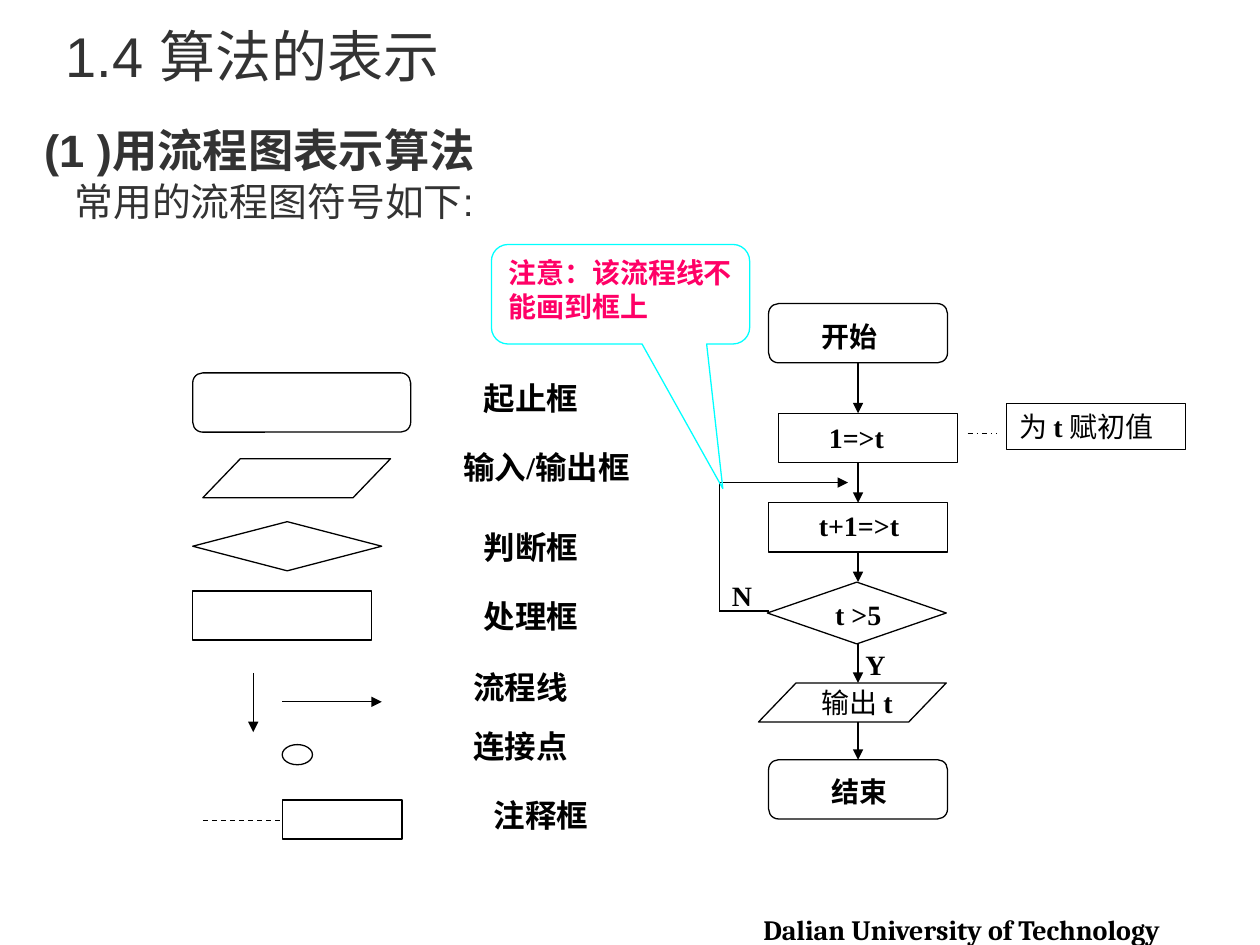
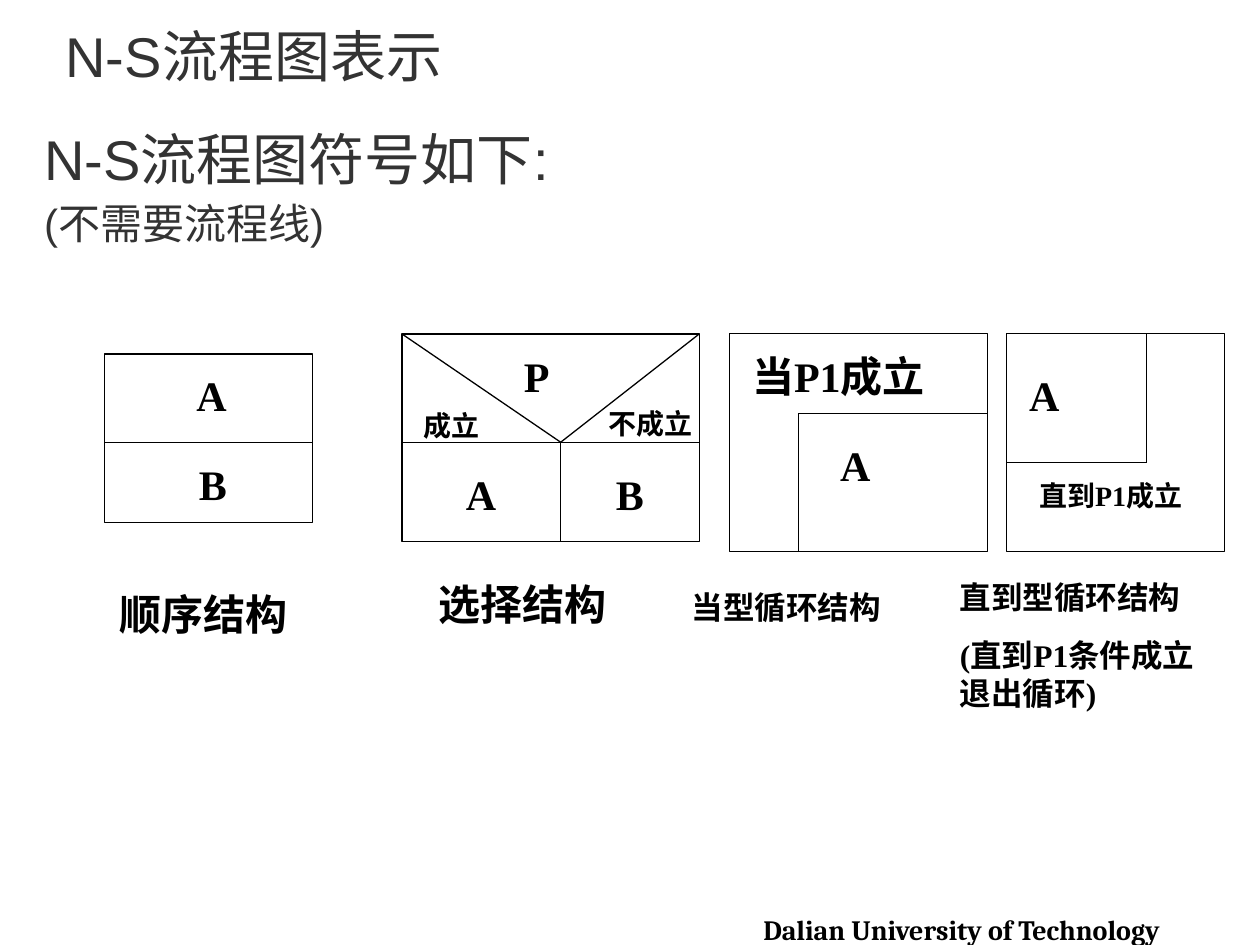
from dataclasses import dataclass
from typing import Any

from lxml.etree import SubElement
from pptx import Presentation
from pptx.dml.color import RGBColor
from pptx.enum.dml import MSO_LINE
from pptx.enum.shapes import MSO_CONNECTOR, MSO_SHAPE
from pptx.enum.text import MSO_ANCHOR, MSO_AUTO_SIZE, PP_ALIGN
from pptx.oxml.ns import qn
from pptx.util import Inches, Pt

BLACK = RGBColor(0x00, 0x00, 0x00)
CHARCOAL = RGBColor(0x33, 0x33, 0x33)
CYAN = RGBColor(0x00, 0xFF, 0xFF)
PINK = RGBColor(0xFF, 0x00, 0x66)
HEADING_FONT = "Arial"
LABEL_FONT = "Times New Roman"
FOOTER_FONT = "Cambria"
LINE_WIDTH = Pt(0.75)


def format_runs(paragraph, font, size, color, bold):
    for run in paragraph.runs:
        run.font.name = font
        run.font.size = Pt(size)
        run.font.color.rgb = color
        run.font.bold = bold


def write(frame, text, size, font=LABEL_FONT, color=BLACK, bold=True):
    frame.word_wrap = True
    frame.vertical_anchor = MSO_ANCHOR.TOP
    frame.text = text
    for index, paragraph in enumerate(frame.paragraphs):
        paragraph.alignment = PP_ALIGN.LEFT
        paragraph.space_before = Pt(size * 0.625 if index else 0)
        format_runs(paragraph, font, size, color, bold)


def write_variable(frame, before, variable, after=""):
    """Set plain text around a variable name in bold."""
    write(frame, before, 16, bold=False)
    paragraph = frame.paragraphs[0]
    for piece in filter(None, (variable, after)):
        paragraph.add_run().text = piece
    format_runs(paragraph, LABEL_FONT, 16, BLACK, False)
    paragraph.runs[1].font.bold = True


@dataclass
class Region:
    """Part of a slide whose contents are placed from its top left corner."""
    slide: Any
    left: float
    top: float

    def place(self, x, y):
        return Inches(self.left + x), Inches(self.top + y)

    def outline(self, kind, x, y, width, height, color=BLACK):
        shape = self.slide.shapes.add_shape(
            kind, *self.place(x, y), Inches(width), Inches(height))
        shape.shadow.inherit = False
        shape.fill.background()
        shape.line.color.rgb = color
        shape.line.width = LINE_WIDTH
        return shape

    def line(self, start, end, arrow=False, dash=None):
        connector = self.slide.shapes.add_connector(
            MSO_CONNECTOR.STRAIGHT, *self.place(*start), *self.place(*end))
        connector.line.color.rgb = BLACK
        connector.line.width = LINE_WIDTH
        if dash:
            connector.line.dash_style = dash
        properties = connector.line._get_or_add_ln()
        if arrow:
            SubElement(properties, qn("a:tailEnd"), type="triangle")
        SubElement(properties.getparent(), qn("a:effectLst"))

    def label(self, text, x, y, width, size=16, height=0.4):
        box = self.slide.shapes.add_textbox(
            *self.place(x, y), Inches(width), Inches(height))
        write(box.text_frame, text, size)
        return box.text_frame


def move(shape, left, top, width, height):
    shape.left, shape.top = Inches(left), Inches(top)
    shape.width, shape.height = Inches(width), Inches(height)


def add_footer(slide):
    box = slide.shapes.add_textbox(
        Inches(5.96), Inches(7.19), Inches(3.79), Inches(0.37))
    write(box.text_frame, "Dalian University of Technology", 16, FOOTER_FONT)
    box.text_frame.word_wrap = False


def add_slide(deck, title, title_width, lines, body_width, line_spacing):
    """Add a slide; lines holds (text, size, bold, indent) for the body."""
    slide = deck.slides.add_slide(deck.slide_layouts[1])
    add_footer(slide)
    heading, body = slide.placeholders
    move(heading, 0.42, 0.02, title_width, 0.84)
    write(heading.text_frame, title, 32, HEADING_FONT, CHARCOAL, False)
    heading.text_frame.vertical_anchor = MSO_ANCHOR.MIDDLE
    move(body, 0.25, 1, body_width, 1.1)
    body.text_frame.text = "\n".join(text for text, *_ in lines)
    for index, (_, size, bold, indent) in enumerate(lines):
        paragraph = body.text_frame.paragraphs[index]
        properties = paragraph._p.get_or_add_pPr()
        properties.set("marL", str(Inches(indent)))
        properties.set("indent", "0")
        SubElement(properties, qn("a:buNone"))
        paragraph.line_spacing = line_spacing
        paragraph.space_before = Pt(6 if index else 0)
        format_runs(paragraph, HEADING_FONT, size, CHARCOAL, bold)
    for placeholder in (heading, body):
        placeholder.text_frame.auto_size = MSO_AUTO_SIZE.NONE
    return slide


def draw_symbol_legend(region):
    for symbol in (
        (MSO_SHAPE.ROUNDED_RECTANGLE, 0, 0, 1.73, 0.47),
        (MSO_SHAPE.FLOWCHART_DATA, 0.08, 0.68, 1.49, 0.31),
        (MSO_SHAPE.FLOWCHART_DECISION, 0, 1.18, 1.5, 0.39),
        (MSO_SHAPE.FLOWCHART_PROCESS, 0, 1.73, 1.42, 0.39),
        (MSO_SHAPE.FLOWCHART_CONNECTOR, 0.71, 2.95, 0.24, 0.16),
        (MSO_SHAPE.RECTANGLE, 0.71, 3.39, 0.95, 0.31),
    ):
        region.outline(*symbol)
    region.line((0.48, 2.38), (0.48, 2.85), arrow=True)
    region.line((0.71, 2.61), (1.5, 2.61), arrow=True)
    region.line((0.08, 3.55), (0.71, 3.55), dash=MSO_LINE.DASH)
    for name, x, y in (
        ("起止框", 2.21, 0),
        ("输入/输出框", 2.05, 0.55),
        ("判断框", 2.21, 1.18),
        ("处理框", 2.21, 1.73),
        ("流程线", 2.13, 2.29),
        ("连接点", 2.13, 2.76),
        ("注释框", 2.29, 3.31),
    ):
        region.label(name, x, y, 1.73, 18)


def draw_flowchart(region):
    steps = (
        (MSO_SHAPE.ROUNDED_RECTANGLE, 0.39, 0, 1.42, 0.47),
        (MSO_SHAPE.FLOWCHART_PROCESS, 0.47, 0.87, 1.42, 0.39),
        (MSO_SHAPE.FLOWCHART_PROCESS, 0.39, 1.58, 1.42, 0.39),
        (MSO_SHAPE.FLOWCHART_DECISION, 0.38, 2.21, 1.42, 0.49),
        (MSO_SHAPE.FLOWCHART_DATA, 0.31, 3.01, 1.49, 0.31),
        (MSO_SHAPE.ROUNDED_RECTANGLE, 0.39, 3.62, 1.42, 0.47),
    )
    for step in steps:
        region.outline(*step)
    for (_, _, y, _, height), (_, _, next_y, _, _) in zip(steps, steps[1:]):
        region.line((1.1, y + height), (1.1, next_y), arrow=True)

    region.line((0.39, 2.44), (0, 2.44))
    region.line((0, 2.44), (0, 1.42))
    region.line((0, 1.42), (1.02, 1.42), arrow=True)
    for text, x, y in (
        ("开始", 0.71, 0.08),
        ("1=>t", 0.77, 0.88),
        ("t+1=>t", 0.69, 1.58),
        ("t >5", 0.82, 2.28),
        ("N", 0, 2.13),
        ("Y", 1.06, 2.68),
        ("结束", 0.79, 3.69),
    ):
        region.label(text, x, y, 1.02, height=0.37)
    write_variable(region.label("", 0.71, 2.98, 1.1), "输出 ", "t")

    region.line((1.97, 1.03), (2.2, 1.03), dash=MSO_LINE.DASH_DOT)
    comment = region.outline(MSO_SHAPE.RECTANGLE, 2.28, 0.79, 1.42, 0.37)
    write_variable(comment.text_frame, "为 ", "t ", "赋初值")


def draw_warning(region):
    callout = region.outline(
        MSO_SHAPE.ROUNDED_RECTANGULAR_CALLOUT, 0, 0, 2.05, 0.79, CYAN)
    for index, value in enumerate((0.396, 1.952, 0.167)):
        callout.adjustments[index] = value
    write(callout.text_frame, "注意：该流程线不能画到框上", 16, color=PINK)


def draw_sequence(region):
    region.outline(MSO_SHAPE.RECTANGLE, 0, 0, 1.65, 1.34)
    region.line((0, 0.7), (1.65, 0.7))
    region.label("A", 0.63, 0.07, 0.95, 24)
    region.label("B", 0.65, 0.78, 0.95, 24)
    region.label("顺序结构", 0.02, 1.81, 1.81, 24)


def draw_selection(region):
    width, height = 2.36, 1.65
    fork = (1.26, 0.86)
    region.outline(MSO_SHAPE.RECTANGLE, 0, 0, width, height)
    region.line((0, fork[1]), (width, fork[1]))
    for end in ((0, 0), (width, 0), (fork[0], height)):
        region.line(fork, end)
    region.label("P", 0.87, 0.08, 0.71, 24)
    region.label("不成立", 1.54, 0.53, 1.02)
    region.label("成立", 0.07, 0.54, 1.02)
    region.label("A", 0.41, 1.02, 0.63, 24)
    region.label("B", 1.6, 1.02, 0.55, 24)
    region.label("选择结构", 0.19, 1.89, 1.89, 24)


def draw_while_loop(region):
    width, height = 2.05, 1.73
    corner = (0.55, 0.63)
    region.outline(MSO_SHAPE.RECTANGLE, 0, 0, width, height)
    region.line(corner, (width, corner[1]))
    region.line(corner, (corner[0], height))
    region.label("当P1成立", 0.08, 0.08, 1.89, 24)
    region.label("A", 0.78, 0.79, 0.95, 24)
    region.label("当型循环结构", -0.4, 1.97, 2.28, 18)


def draw_until_loop(region):
    corner = (1.11, 1.02)
    region.outline(MSO_SHAPE.RECTANGLE, 0, 0, 1.73, 1.73)
    region.line((corner[0], 0), corner)
    region.line(corner, (0, corner[1]))
    region.label("A", 0.08, 0.23, 0.87, 24)
    region.label("直到P1成立", 0.16, 1.1, 1.42, height=0.64)
    region.label("直到型循环结构\n(直到P1条件成立退出循环)",
                 -0.47, 1.89, 2.28, 18, 1.16)


def main():
    deck = Presentation()
    deck.slide_width, deck.slide_height = Inches(10), Inches(7.5)

    flowchart = add_slide(
        deck, "1.4 算法的表示", 9.17,
        (("(1 )用流程图表示算法", 25.9, True, 0),
         ("常用的流程图符号如下:", 22.2, False, 0.24)), 4.44, 0.8)
    draw_symbol_legend(Region(flowchart, 1.53, 2.96))
    draw_flowchart(Region(flowchart, 5.71, 2.41))
    draw_warning(Region(flowchart, 3.9, 1.94))

    ns_chart = add_slide(
        deck, "N-S流程图表示", 4.27,
        (("N-S流程图符号如下:", 32, False, 0),
         ("(不需要流程线)", 24, False, 0)), 4.75, 0.9)
    draw_sequence(Region(ns_chart, 0.83, 2.81))
    draw_selection(Region(ns_chart, 3.19, 2.65))
    draw_while_loop(Region(ns_chart, 5.79, 2.65))
    draw_until_loop(Region(ns_chart, 7.99, 2.65))

    deck.save("out.pptx")


if __name__ == "__main__":
    main()
